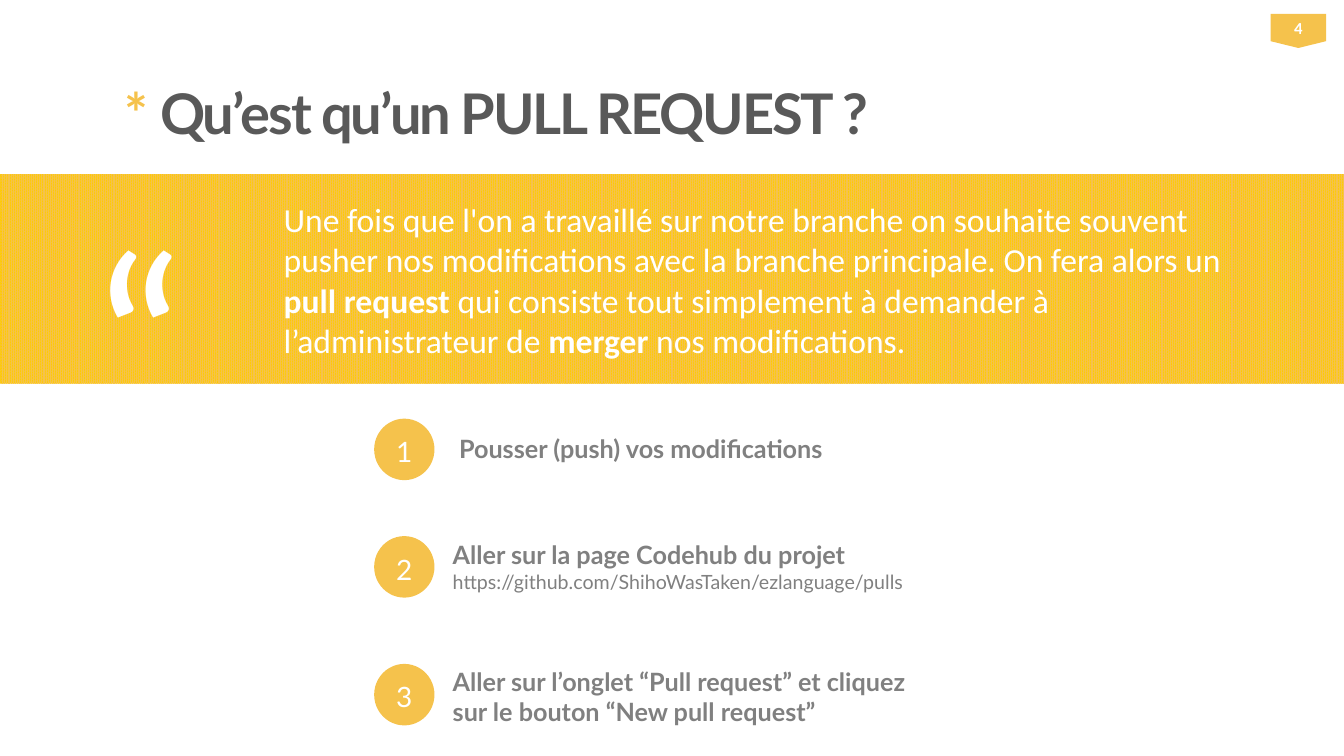
import pptx
import pptx.util
from pptx.dml.color import RGBColor
from pptx.enum.dml import MSO_PATTERN
from pptx.enum.shapes import MSO_SHAPE
from pptx.enum.text import MSO_ANCHOR, PP_ALIGN
from pptx.util import Cm

AMBER = RGBColor(0xF5, 0xC2, 0x4C)
YELLOW = RGBColor(0xFF, 0xCC, 0x00)
DARK_GREY = RGBColor(0x59, 0x59, 0x59)
GREY = RGBColor(0x80, 0x80, 0x80)
WHITE = RGBColor(0xFF, 0xFF, 0xFF)

SLIDE_WIDTH, SLIDE_HEIGHT = 33.87, 19.05
CIRCLE_WIDTH, CIRCLE_HEIGHT = 1.52, 1.55


def add_run(paragraph, text, size, color, font="Lato", bold=False, spacing=0):
    """Append a run; spacing is in points."""
    run = paragraph.add_run()
    run.text = text
    run.font.name = font
    run.font.size = pptx.util.Pt(size)
    run.font.bold = bold
    run.font.color.rgb = color
    if spacing:
        run._r.get_or_add_rPr().set("spc", str(round(spacing * 100)))


def add_text_box(slide, left, top, width, height, anchor=MSO_ANCHOR.TOP):
    box = slide.shapes.add_textbox(Cm(left), Cm(top), Cm(width), Cm(height))
    box.text_frame.word_wrap = True
    box.text_frame.vertical_anchor = anchor
    return box.text_frame


def add_plain_shape(slide, kind, left, top, width, height):
    shape = slide.shapes.add_shape(kind, Cm(left), Cm(top), Cm(width), Cm(height))
    shape.shadow.inherit = False
    shape.line.fill.background()
    shape.fill.solid()
    shape.fill.fore_color.rgb = AMBER
    return shape


def add_label_shape(slide, kind, left, top, width, height, label, size, **style):
    """Amber shape with a centred white label."""
    shape = add_plain_shape(slide, kind, left, top, width, height)
    frame = shape.text_frame
    frame.margin_left = frame.margin_right = frame.margin_top = frame.margin_bottom = 0
    frame.vertical_anchor = MSO_ANCHOR.MIDDLE
    paragraph = frame.paragraphs[0]
    paragraph.alignment = PP_ALIGN.CENTER
    add_run(paragraph, label, size, WHITE, **style)
    return shape


def add_title(slide, left, top, width, height):
    paragraph = add_text_box(slide, left, top, width, height).paragraphs[0]
    add_run(paragraph, "* ", 40, AMBER, bold=True, spacing=-1.5)
    add_run(paragraph, "Qu’est qu’un PULL REQUEST ?", 40, DARK_GREY, bold=True, spacing=-1.5)


def add_quote_band(slide, left, top, width, height):
    band = add_plain_shape(slide, MSO_SHAPE.RECTANGLE, left, top, width, height)
    band.fill.patterned()
    band.fill.pattern = MSO_PATTERN.PERCENT_90
    band.fill.fore_color.rgb = AMBER
    band.fill.back_color.rgb = YELLOW

    quote = add_text_box(slide, left + 6.9, top + 0.5, 25.12, 2.95).paragraphs[0]
    for text, bold in (
        ("Une fois que l'on a travaillé sur notre branche on souhaite souvent pusher nos "
         "modifications avec la branche principale. On fera alors un ", False),
        ("pull request", True),
        (" qui consiste tout simplement à demander à l’administrateur de ", False),
        ("merger", True),
        (" nos modifications.", False),
    ):
        add_run(quote, text, 24, WHITE, font="Calibri", bold=bold)

    mark = add_text_box(slide, left + 2.23, top + 0.44, 3.2, 2.34).paragraphs[0]
    add_run(mark, "“", 166, WHITE, spacing=-1.5)


def add_step(slide, left, top, width, height, number, heading, link=None, inset=0.25, drop=-0.02):
    """Numbered circle with text beside it, drop below its middle; height is that of the text."""
    circle = add_label_shape(slide, MSO_SHAPE.OVAL, left, top, CIRCLE_WIDTH, CIRCLE_HEIGHT,
                             str(number), 20)
    circle.text_frame.margin_top = Cm(0.1)
    text_top = top + (CIRCLE_HEIGHT - height) / 2 + drop
    frame = add_text_box(slide, left + 1.73, text_top, width, height, MSO_ANCHOR.MIDDLE)
    frame.margin_left = Cm(inset)
    add_run(frame.paragraphs[0], heading, 18, GREY, bold=True)
    if link:
        add_run(frame.add_paragraph(), link, 14, GREY)


def main():
    presentation = pptx.Presentation()
    presentation.slide_width = Cm(SLIDE_WIDTH)
    presentation.slide_height = Cm(SLIDE_HEIGHT)
    slide = presentation.slides.add_slide(presentation.slide_layouts[6])

    add_title(slide, 2.9, 1.85, 27.28, 1.68)
    add_label_shape(slide, MSO_SHAPE.FLOWCHART_OFFPAGE_CONNECTOR, 32.02, 0.35, 1.4, 0.86,
                    "4", 12, font="Calibri", bold=True)
    add_quote_band(slide, 0, 4.39, SLIDE_WIDTH, 5.28)

    add_step(slide, 9.43, 10.55, 13.46, 1.02, 1, "Pousser (push) vos modifications", inset=0.41)
    add_step(slide, 9.43, 13.51, 13.46, 1.63, 2, "Aller sur la page Codehub du projet",
             link="https://github.com/ShihoWasTaken/ezlanguage/pulls")
    add_step(slide, 9.43, 16.73, 12.7, 1.8, 3,
             "Aller sur l’onglet “Pull request” et cliquez sur le bouton “New pull request”",
             drop=0.04)

    presentation.save("out.pptx")


if __name__ == "__main__":
    main()
